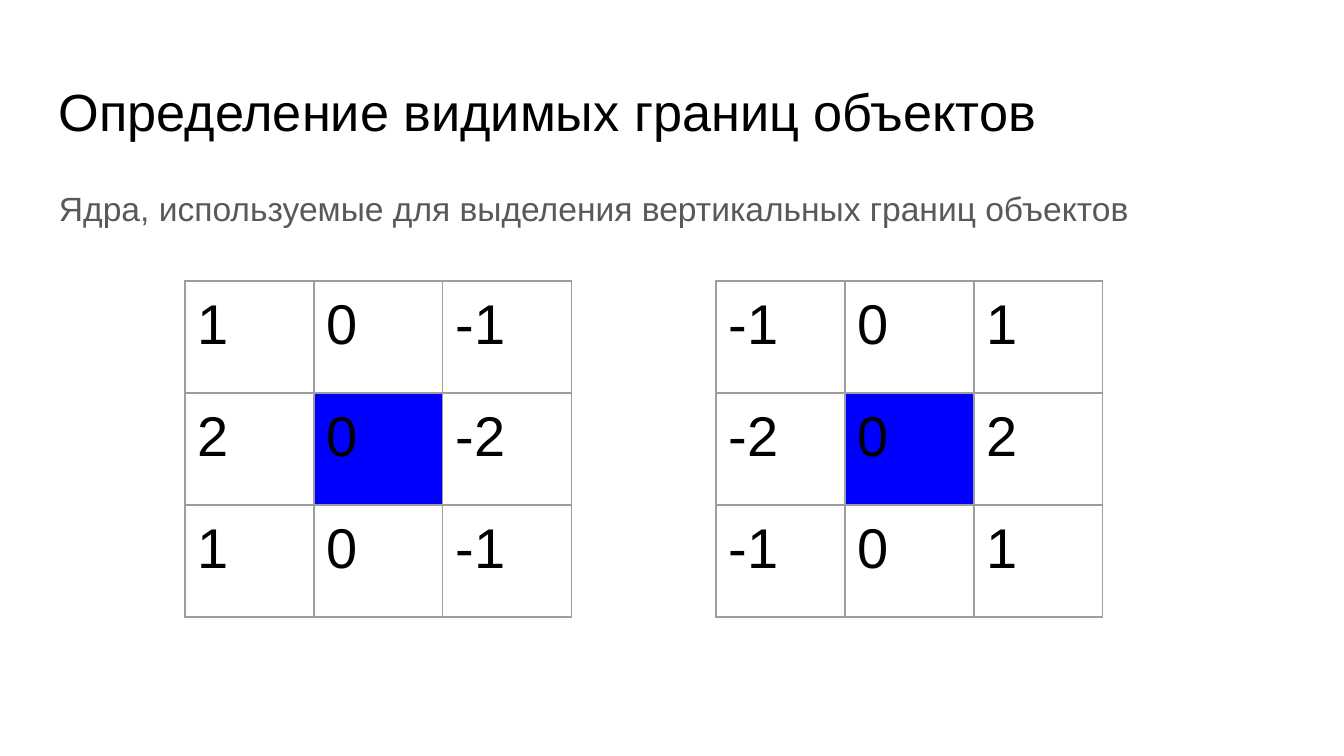
from lxml import etree
from pptx import Presentation
from pptx.dml.color import RGBColor
from pptx.enum.text import MSO_ANCHOR, MSO_AUTO_SIZE, PP_ALIGN
from pptx.oxml.ns import qn
from pptx.util import Pt

TOP = MSO_ANCHOR.TOP
FIXED = MSO_AUTO_SIZE.NONE
LEFT = PP_ALIGN.LEFT

BLACK = RGBColor(0x00, 0x00, 0x00)
GRAY = RGBColor(0x59, 0x59, 0x59)
BLUE = RGBColor(0x00, 0x00, 0xFF)
LINE = RGBColor(0x9E, 0x9E, 0x9E)

SCALE = 914400 / 134.4
PAD = 13
COL, ROW = 129, 112


def px(n):
    return round(n * SCALE)


def style(par, size, color):
    par.alignment = LEFT
    for run in par.runs:
        run.font.name = "Arial"
        run.font.size = Pt(size)
        run.font.color.rgb = color


prs = Presentation()
prs.slide_width, prs.slide_height = px(1344), px(756)
slide = prs.slides.add_slide(prs.slide_layouts[1])
title, body = slide.placeholders

# Title and lead line
for shape, top, high, size, color, text in (
    (title, 66, 85, 28, BLACK, "Определение видимых границ объектов"),
    (body, 169, 503, 18, GRAY,
     "Ядра, используемые для выделения вертикальных границ объектов"),
):
    shape.left, shape.top = px(46), px(top)
    shape.width, shape.height = px(1252), px(high)
    frame = shape.text_frame
    frame.text = text
    frame.word_wrap = True
    frame.auto_size = FIXED
    frame.vertical_anchor = TOP
    frame.margin_left = frame.margin_right = px(PAD)
    frame.margin_top = frame.margin_bottom = px(PAD)
    style(frame.paragraphs[0], size, color)

# Lead line: no bullet or indent
lead = body.text_frame.paragraphs[0]
lead.line_spacing = 1.15
lead.space_before, lead.space_after = Pt(0), Pt(16)
props = lead._p.get_or_add_pPr()
props.set("marL", "0")
props.set("indent", "0")
etree.SubElement(props, qn("a:buNone"))

# Two mirrored kernels, centre cell marked
for left, sign in ((716, -1), (185, 1)):
    grid = slide.shapes.add_table(
        3, 3, px(left), px(281), px(3 * COL), px(3 * ROW)).table
    grid.first_row = grid.horz_banding = False
    for r, weight in enumerate((1, 2, 1)):
        for c, side in enumerate((1, 0, -1)):
            cell = grid.cell(r, c)
            cell.text = str(sign * weight * side)
            style(cell.text_frame.paragraphs[0], 30, BLACK)
            cell.vertical_anchor = TOP
            cell.margin_left = cell.margin_right = px(PAD)
            cell.margin_top = cell.margin_bottom = px(PAD)
            # Borders come before the fill in the cell's XML
            tcpr = cell._tc.get_or_add_tcPr()
            for tag in ("a:lnL", "a:lnR", "a:lnT", "a:lnB"):
                edge = etree.SubElement(tcpr, qn(tag), w=str(Pt(0.75)))
                fill = etree.SubElement(edge, qn("a:solidFill"))
                etree.SubElement(fill, qn("a:srgbClr"), val=str(LINE))
            if r == c == 1:
                cell.fill.solid()
                cell.fill.fore_color.rgb = BLUE
            else:
                cell.fill.background()

prs.save("out.pptx")
